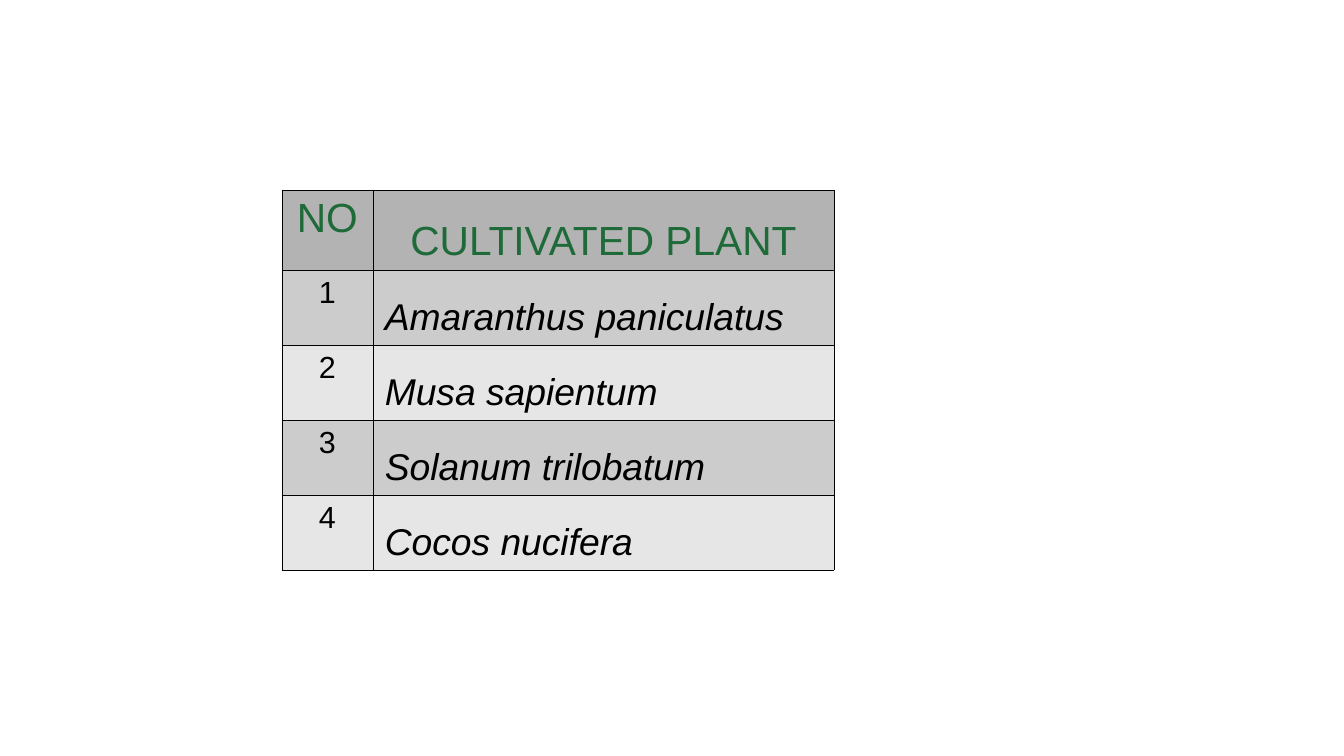
from dataclasses import dataclass

from lxml import etree
from pptx import Presentation
from pptx.dml.color import RGBColor
from pptx.enum import text as t
from pptx.oxml import ns
from pptx.util import Pt


@dataclass(frozen=True)
class Theme:
    font: str = "Arial"
    heading: str = "1E6A39"
    ink: str = "000000"
    header_fill: str = "B3B3B3"
    bands: tuple = ("CCCCCC", "E6E6E6")
    heading_size: float = 24
    number_size: float = 18
    plant_size: float = 22
    border_width: float = 0.06


THEME = Theme()
HEADINGS = ("NO", "CULTIVATED PLANT")
PLANTS = ("Amaranthus paniculatus", "Musa sapientum", "Solanum trilobatum", "Cocos nucifera")


def write(cell, words, size, color=THEME.ink, italic=False, centered=False, spacing=1.0):
    paragraph = cell.text_frame.paragraphs[0]
    paragraph.alignment = t.PP_ALIGN.CENTER if centered else t.PP_ALIGN.LEFT
    paragraph.line_spacing = spacing
    run = paragraph.add_run()
    run.text = words
    run.font.name = THEME.font
    run.font.size = Pt(size)
    run.font.bold = False
    run.font.italic = italic
    run.font.color.rgb = RGBColor.from_string(color)


def style_cell(cell, fill):
    """Border all four sides, then fill, in the order the schema requires."""
    properties = cell._tc.get_or_add_tcPr()
    for side in ("lnL", "lnR", "lnT", "lnB"):
        line = etree.SubElement(properties, ns.qn(f"a:{side}"), w=str(Pt(THEME.border_width)))
        solid = etree.SubElement(line, ns.qn("a:solidFill"))
        etree.SubElement(solid, ns.qn("a:srgbClr"), val=THEME.ink)
    cell.fill.solid()
    cell.fill.fore_color.rgb = RGBColor.from_string(fill)


def add_plant_table(slide, left, top, width, height):
    number_width, header_height = 53.5, 47.2
    row_height = (height - header_height) / len(PLANTS)
    table = slide.shapes.add_table(len(PLANTS) + 1, len(HEADINGS),
                                   Pt(left), Pt(top), Pt(width), Pt(height)).table
    table.horz_banding = False
    table.columns[0].width = Pt(number_width)
    table.columns[1].width = Pt(width - number_width)

    table.rows[0].height = Pt(header_height)
    for column, (heading, spacing) in enumerate(zip(HEADINGS, (1.0, 1.5))):
        cell = table.cell(0, column)
        write(cell, heading, THEME.heading_size, color=THEME.heading,
              centered=True, spacing=spacing)
        style_cell(cell, THEME.header_fill)

    for number, plant in enumerate(PLANTS, start=1):
        table.rows[number].height = Pt(row_height)
        number_cell, plant_cell = table.cell(number, 0), table.cell(number, 1)
        write(number_cell, str(number), THEME.number_size, centered=True)
        write(plant_cell, plant, THEME.plant_size, italic=True, spacing=1.5)
        for cell in (number_cell, plant_cell):
            style_cell(cell, THEME.bands[(number - 1) % len(THEME.bands)])


def main():
    deck = Presentation()
    deck.slide_width, deck.slide_height = Pt(793.44), Pt(446.4)
    slide = deck.slides.add_slide(deck.slide_layouts[6])
    add_plant_table(slide, left=166.5, top=112.2, width=326, height=224)
    deck.save("out.pptx")


if __name__ == "__main__":
    main()
